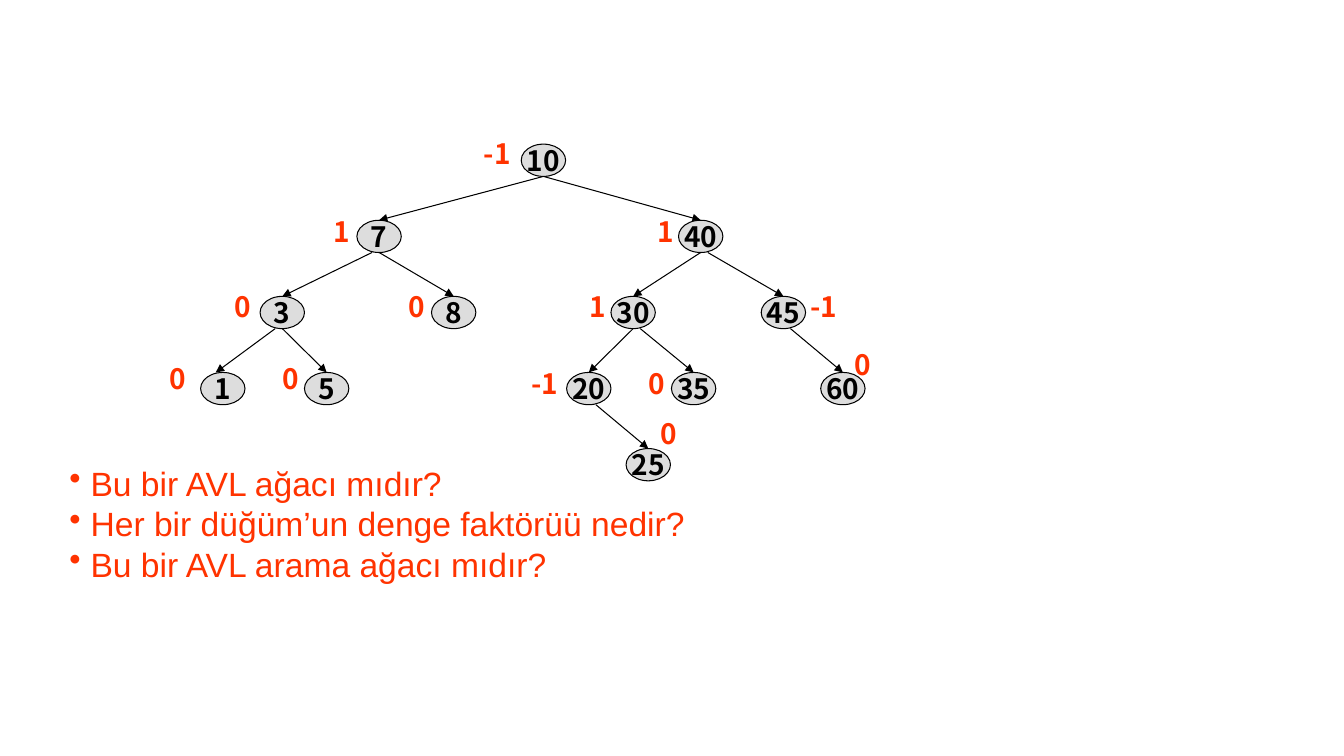
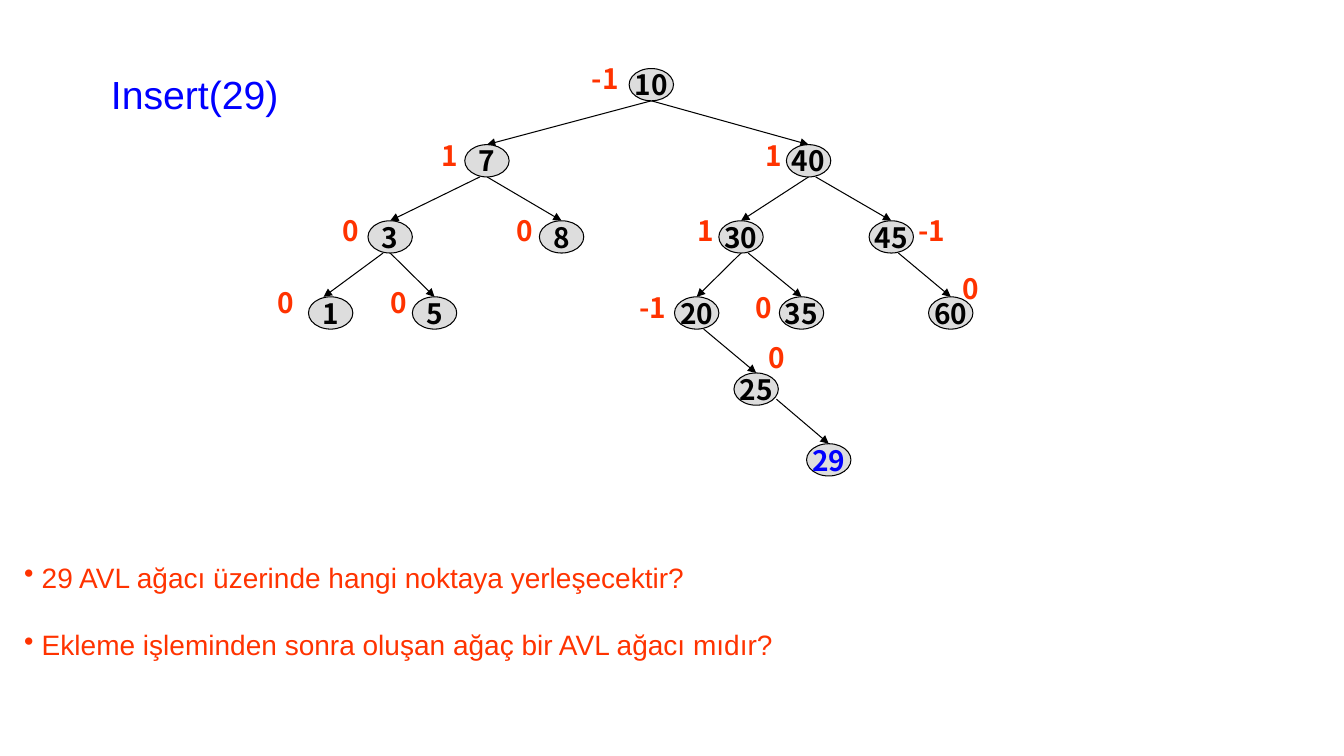
from dataclasses import dataclass

from lxml import etree
from pptx import Presentation
from pptx.dml.color import RGBColor
from pptx.enum.shapes import MSO_CONNECTOR, MSO_SHAPE
from pptx.enum.text import MSO_ANCHOR, MSO_AUTO_SIZE, PP_ALIGN
from pptx.oxml.ns import qn
from pptx.util import Inches, Pt

STRAIGHT = MSO_CONNECTOR.STRAIGHT
OVAL = MSO_SHAPE.OVAL
TOP, MIDDLE = MSO_ANCHOR.TOP, MSO_ANCHOR.MIDDLE
GROW = MSO_AUTO_SIZE.SHAPE_TO_FIT_TEXT
LEFT, CENTER = PP_ALIGN.LEFT, PP_ALIGN.CENTER
TITLE_ONLY, BLANK = 5, 6


@dataclass(frozen=True)
class Theme:
    black: RGBColor = RGBColor(0, 0, 0)
    node_fill: RGBColor = RGBColor(0xDD, 0xDD, 0xDD)
    accent: RGBColor = RGBColor(0xFF, 0x33, 0)
    inserted: RGBColor = RGBColor(0, 0, 0xFF)
    text_font: str = "Arial"
    node_font: str = "Noto Sans CJK KR"
    title_size: int = 28
    node_size: int = 20
    line_width: float = 0.75
    line_pitch: float = 1.205   # line height per point of type
    bullet_indent: float = 0.63  # hanging indent per point of type


@dataclass(frozen=True)
class Node:
    """A tree node; x is its centre measured from the root's centre."""
    key: int
    parent: int | None
    x: float
    level: float
    balance: str = ""
    balance_at: tuple = (-0.55, -0.11)  # from the node's top centre
    edge_shift: tuple = (0, 0)          # from the parent's bottom centre
    tip_shift: float = 0
    inserted: bool = False


NODE_WIDTH, NODE_HEIGHT, LEVEL_STEP = 0.44, 0.32, 0.755
SIDE = 0.07

AVL_TREE = [
    Node(10, None, 0, 0, "-1", (-0.69, -0.12)),
    Node(7, 10, -1.63, 1, "1"),
    Node(40, 10, 1.56, 1, "1", (-0.53, -0.11)),
    Node(3, 7, -2.59, 2, "0", (-0.57, -0.12), (-SIDE, 0)),
    Node(8, 7, -0.89, 2, "0", (-0.55, -0.12)),
    Node(30, 40, 0.89, 2, "1", (-0.53, -0.12)),
    Node(45, 40, 2.38, 2, "-1", (0.17, -0.12), (SIDE, 0)),
    Node(1, 3, -3.18, 3, "0", (-0.63, -0.16), (-SIDE, 0), -SIDE),
    Node(5, 3, -2.15, 3, "0", (-0.54, -0.16)),
    Node(20, 30, 0.45, 3, "-1", (-0.67, -0.11)),
    Node(35, 30, 1.49, 3, "0", edge_shift=(SIDE, 0)),
    Node(60, 45, 2.97, 3, "0", (0.02, -0.3), (SIDE, 0)),
    Node(25, 20, 1.04, 4, "0", (0.02, -0.37), (SIDE, 0)),
]
INSERTED_NODE = Node(29, 25, 1.76, 4.93, edge_shift=(0.2, -0.06), inserted=True)


class Deck:
    def __init__(self, theme):
        self.theme = theme
        self.presentation = Presentation()
        self.presentation.slide_width = Inches(13.33)
        self.presentation.slide_height = Inches(7.5)
        self.slide = None

    def add_slide(self, layout):
        self.slide = self.presentation.slides.add_slide(
            self.presentation.slide_layouts[layout])

    def style(self, paragraph, font_name, size, color, bold=False, align=LEFT):
        paragraph.alignment = align
        font = paragraph.font
        font.name, font.size, font.bold = font_name, Pt(size), bold
        font.color.rgb = color

    def text_box(self, left, top, width, height, wrap):
        box = self.slide.shapes.add_textbox(
            Inches(left), Inches(top), Inches(width), Inches(height))
        box.text_frame.word_wrap = wrap
        box.text_frame.auto_size = GROW
        return box.text_frame

    def title(self, text, left, top, width, height):
        title = self.slide.shapes.title
        title.left, title.top = Inches(left), Inches(top)
        title.width, title.height = Inches(width), Inches(height)
        frame = title.text_frame
        frame.text = text
        frame.word_wrap, frame.auto_size = False, GROW
        frame.vertical_anchor = TOP
        self.style(frame.paragraphs[0], self.theme.text_font,
                   self.theme.title_size, self.theme.inserted)

    def arrow(self, start, end):
        line = self.slide.shapes.add_connector(
            STRAIGHT, *(Inches(value) for value in (*start, *end)))
        line.line.color.rgb = self.theme.black
        line.line.width = Pt(self.theme.line_width)
        properties = line.line._get_or_add_ln()
        etree.SubElement(properties, qn("a:tailEnd"), type="triangle")
        etree.SubElement(line._element.spPr, qn("a:effectLst"))

    def node(self, key, center, top, color):
        oval = self.slide.shapes.add_shape(
            OVAL, Inches(center - NODE_WIDTH / 2), Inches(top),
            Inches(NODE_WIDTH), Inches(NODE_HEIGHT))
        oval.shadow.inherit = False
        oval.fill.solid()
        oval.fill.fore_color.rgb = self.theme.node_fill
        oval.line.color.rgb = self.theme.black
        oval.line.width = Pt(self.theme.line_width)
        frame = oval.text_frame
        frame.text = str(key)
        frame.word_wrap, frame.vertical_anchor = False, MIDDLE
        self.style(frame.paragraphs[0], self.theme.node_font,
                   self.theme.node_size, color, True, CENTER)

    def balance_label(self, text, left, top):
        frame = self.text_box(left, top, 0.53 if len(text) > 1 else 0.36, 0.43, False)
        frame.text = text
        self.style(frame.paragraphs[0], self.theme.node_font,
                   self.theme.node_size, self.theme.accent, True)

    def tree(self, nodes, root_x, root_top):
        places = {node.key: (root_x + node.x, root_top + node.level * LEVEL_STEP)
                  for node in nodes}
        # Edges lie behind the nodes
        for node in nodes:
            if node.parent is not None:
                parent_x, parent_top = places[node.parent]
                shift_x, shift_y = node.edge_shift
                x, top = places[node.key]
                self.arrow((parent_x + shift_x, parent_top + NODE_HEIGHT + shift_y),
                           (x + node.tip_shift, top))
        # Nodes and their balance factors
        for node in nodes:
            x, top = places[node.key]
            self.node(node.key, x, top,
                      self.theme.inserted if node.inserted else self.theme.black)
            if node.balance:
                shift_x, shift_y = node.balance_at
                self.balance_label(node.balance, x + shift_x, top + shift_y)

    def questions(self, lines, left, top, width, height, size, gap=0):
        frame = self.text_box(left, top, width, height, True)
        frame.text = "\n".join(lines)
        indent = Pt(size * self.theme.bullet_indent)
        for index, paragraph in enumerate(frame.paragraphs):
            self.style(paragraph, self.theme.text_font, size, self.theme.accent)
            paragraph.line_spacing = Pt(size * self.theme.line_pitch)
            paragraph.space_before = Pt(gap if index else 0)
            properties = paragraph._p.get_or_add_pPr()
            properties.set("marL", str(indent))
            properties.set("indent", str(-indent))
            etree.SubElement(properties, qn("a:buChar"), char="•")
            # The bullet must come before the default run style
            properties.append(properties.find(qn("a:defRPr")))


def main():
    deck = Deck(Theme())

    # Tree with its balance factors
    deck.add_slide(BLANK)
    deck.tree(AVL_TREE, 5.39, 1.43)
    deck.questions(["Bu bir AVL ağacı mıdır?",
                    "Her bir düğüm’un denge faktörüü nedir?",
                    "Bu bir AVL arama ağacı mıdır?"],
                   0.59, 4.54, 9.06, 1.31, size=24)

    # Same tree after the insertion
    deck.add_slide(TITLE_ONLY)
    deck.title("Insert(29)", 1, 0.65, 1.87, 0.57)
    deck.tree(AVL_TREE + [INSERTED_NODE], 6.46, 0.68)
    deck.questions(["29 AVL ağacı üzerinde hangi noktaya yerleşecektir?",
                    "Ekleme işleminden sonra oluşan ağaç bir AVL ağacı mıdır?"],
                   0.14, 5.51, 8.35, 1.11, size=20, gap=24)

    deck.presentation.save("out.pptx")


if __name__ == "__main__":
    main()
